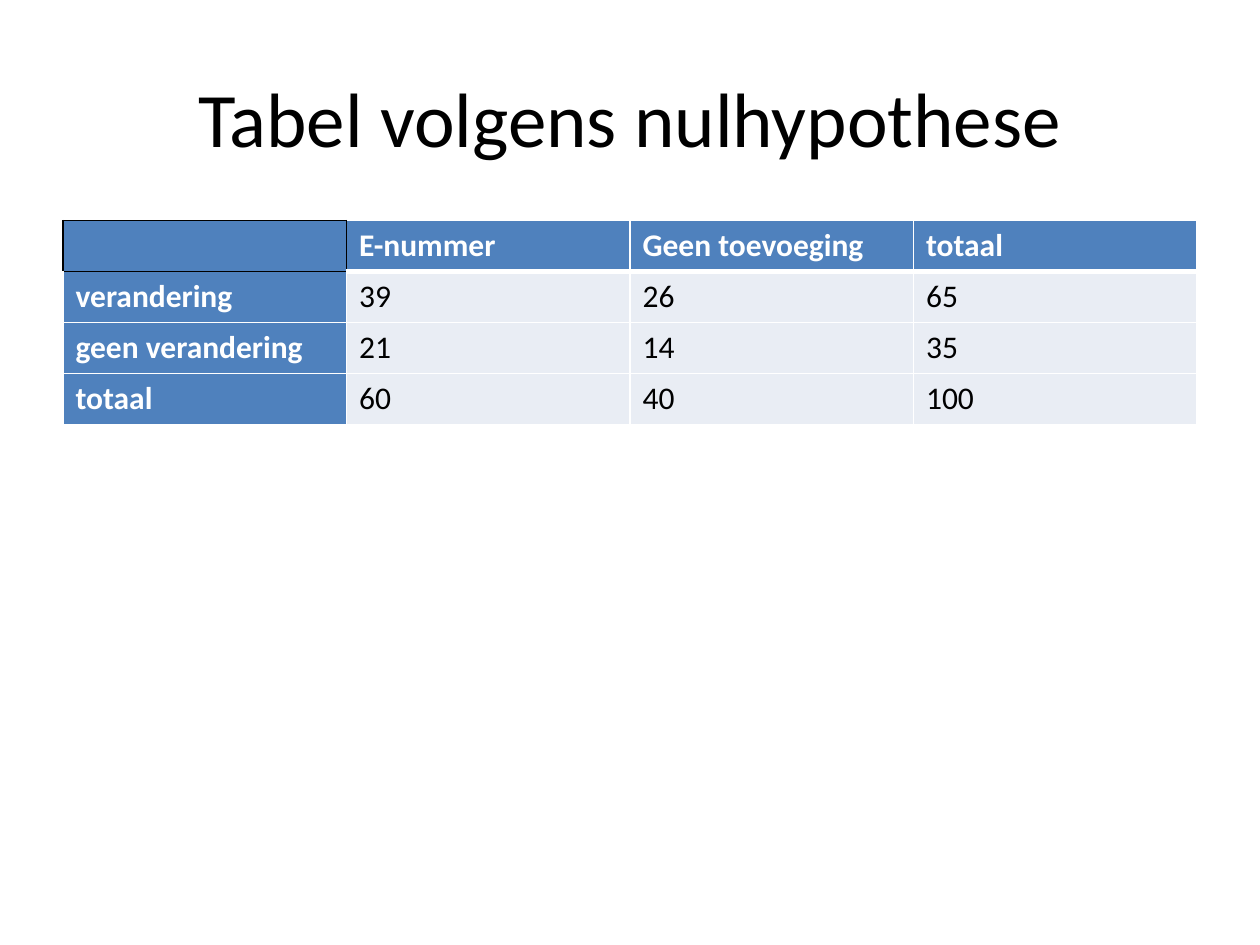
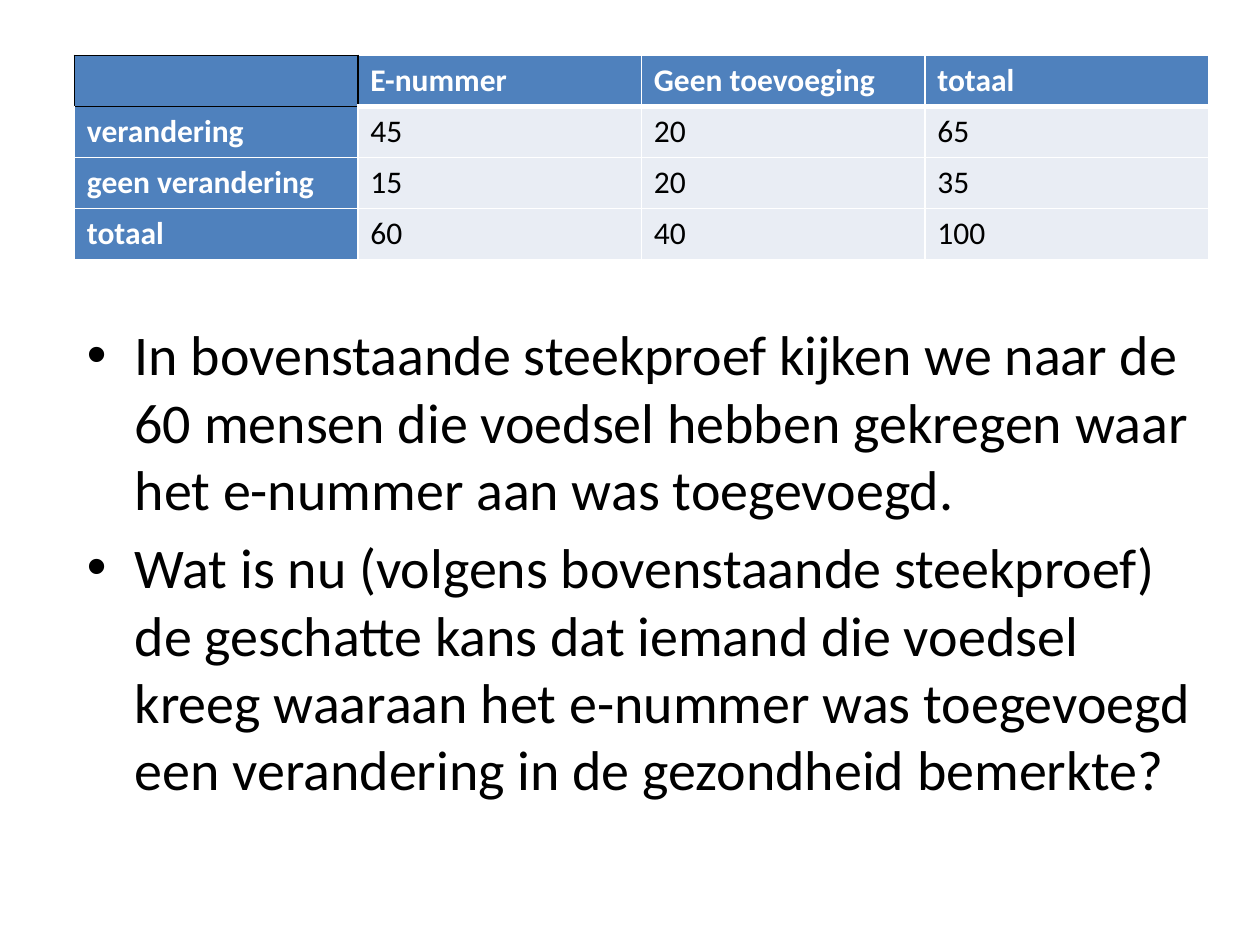
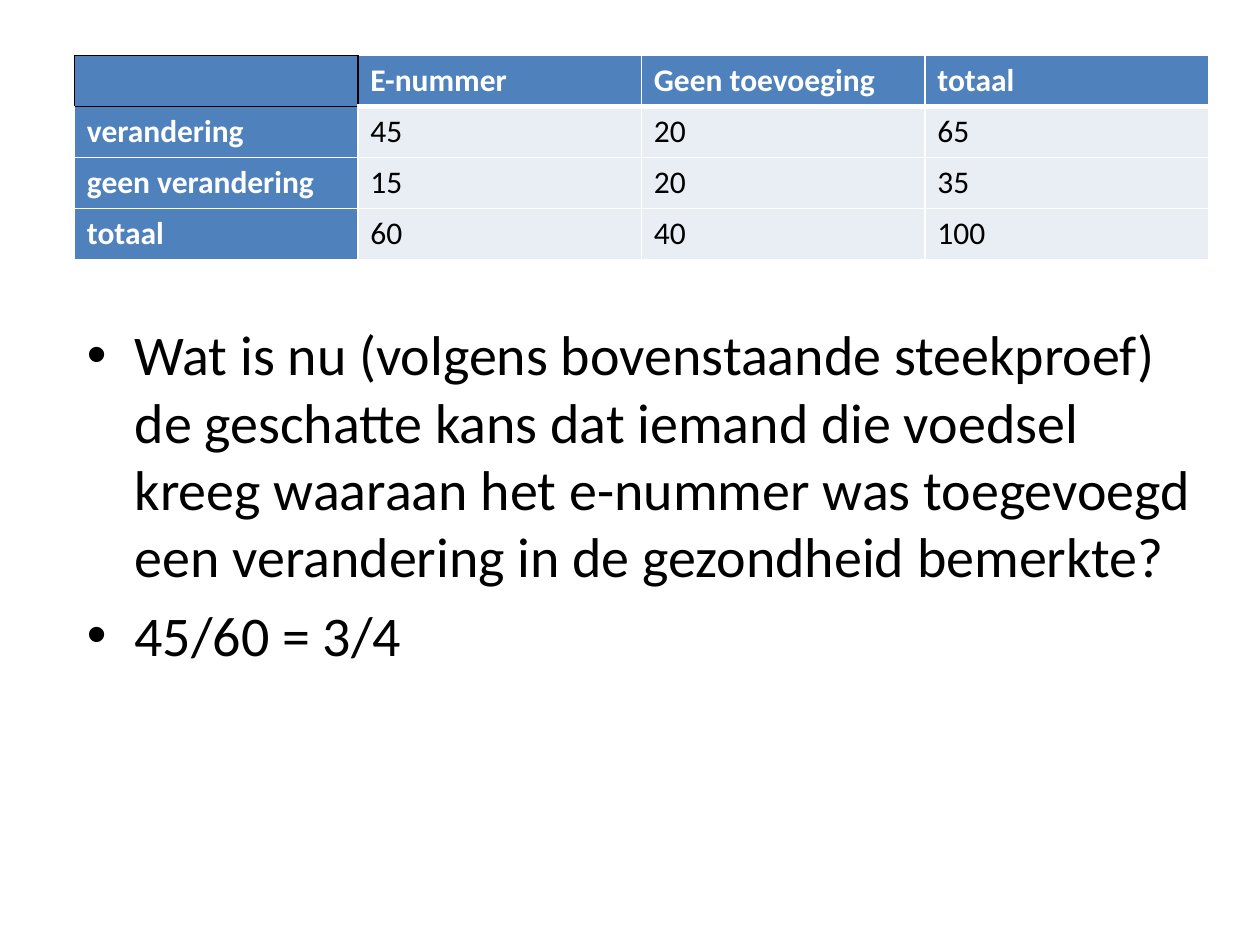
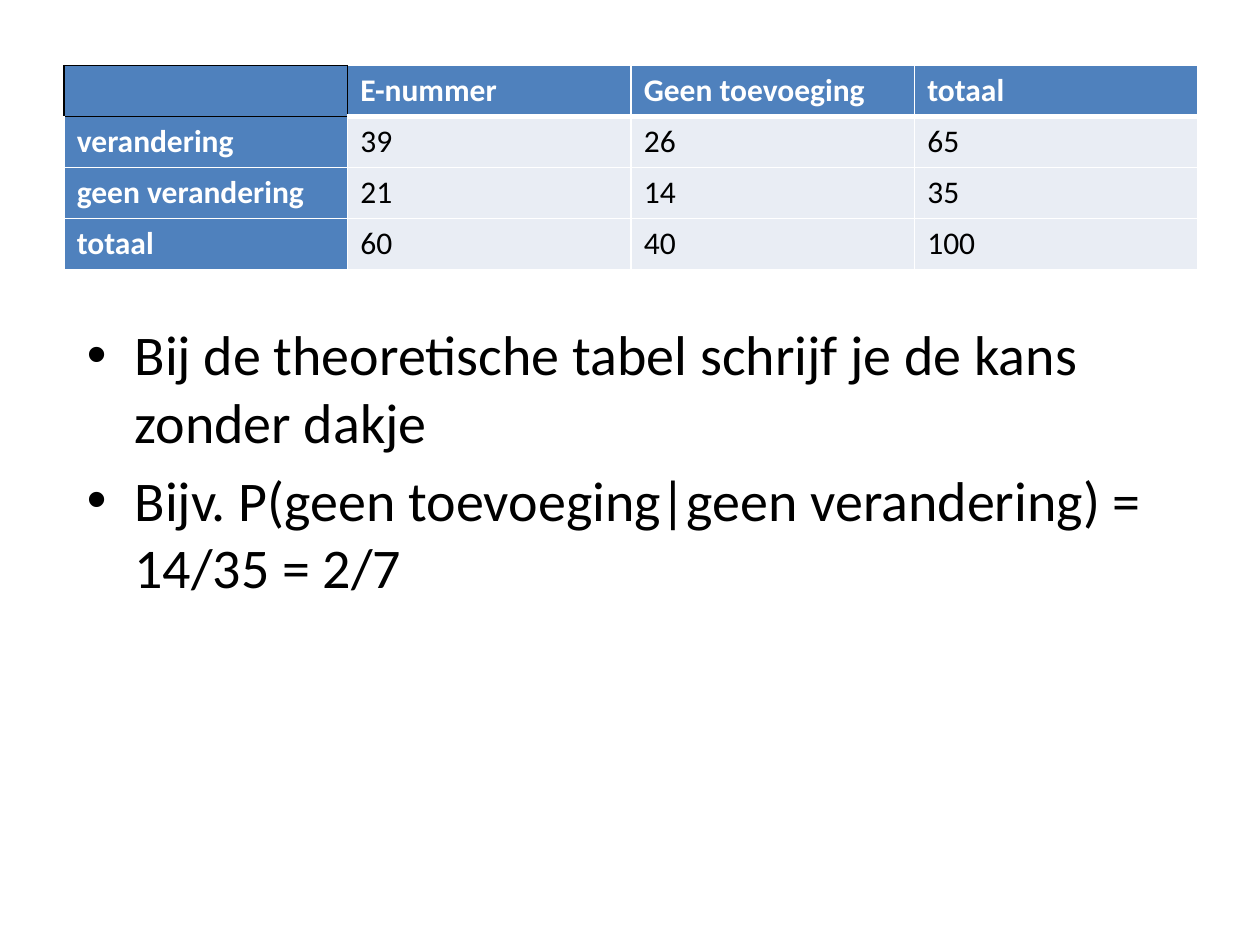
from dataclasses import dataclass

from lxml import etree
from pptx import Presentation, util as u
from pptx.dml.color import RGBColor
from pptx.enum import text
from pptx.oxml import ns


@dataclass(frozen=True)
class Theme:
    font: str = "Calibri"
    black: str = "000000"
    white: str = "FFFFFF"
    header: str = "4F81BD"
    body: str = "E9EDF4"
    title_size: int = 44
    bullet_size: int = 32
    table_size: int = 18


theme = Theme()


def add_run(paragraph, words, size, color, bold=False):
    """Add one run of text in the theme font."""
    run = paragraph.add_run()
    run.text = words
    run.font.name = theme.font
    run.font.size = u.Pt(size)
    run.font.bold = bold
    run.font.color.rgb = RGBColor.from_string(color)


def set_borders(cell, sides):
    """Draw the borders of a cell from (side, colour, points) in schema order."""
    properties = cell._tc.get_or_add_tcPr()
    for index, (side, color, points) in enumerate(sides):
        line = etree.Element(ns.qn(f"a:ln{side}"), w=str(u.Pt(points)))
        fill = etree.SubElement(line, ns.qn("a:solidFill"))
        etree.SubElement(fill, ns.qn("a:srgbClr"), val=color)
        properties.insert(index, line)


header_row = ["", "E-nummer", "Geen toevoeging", "totaal"]
total_row = ["totaal", "60", "40", "100"]
expected = [
    header_row,
    ["verandering", "39", "26", "65"],
    ["geen verandering", "21", "14", "35"],
    total_row,
]
sample = [
    header_row,
    ["verandering", "45", "20", "65"],
    ["geen verandering", "15", "20", "35"],
    total_row,
]
question = (
    "Wat is nu (volgens bovenstaande steekproef) de geschatte kans dat iemand "
    "die voedsel kreeg waaraan het e-nummer was toegevoegd een verandering in "
    "de gezondheid bemerkte?"
)

# Title, table values, table left and top, bullets
pages = [
    ("Tabel volgens nulhypothese", expected, 0.5, 1.75, []),
    (None, sample, 0.59, 0.44, [
        "In bovenstaande steekproef kijken we naar de 60 mensen die voedsel "
        "hebben gekregen waar het e-nummer aan was toegevoegd.",
        question,
    ]),
    (None, sample, 0.59, 0.44, [question, "45/60 = 3/4"]),
    (None, expected, 0.51, 0.52, [
        "Bij de theoretische tabel schrijf je de kans zonder dakje",
        "Bijv. P(geen toevoeging|geen verandering) = 14/35 = 2/7",
    ]),
]

presentation = Presentation()
presentation.slide_width = u.Inches(10)
presentation.slide_height = u.Inches(7.5)

for title, values, left, top, bullets in pages:
    slide = presentation.slides.add_slide(presentation.slide_layouts[6])

    if title:
        box = slide.shapes.add_textbox(
            u.Inches(0.5), u.Inches(0.3), u.Inches(9), u.Inches(1.25))
        box.text_frame.word_wrap = True
        box.text_frame.vertical_anchor = text.MSO_ANCHOR.MIDDLE
        paragraph = box.text_frame.paragraphs[0]
        paragraph.alignment = text.PP_ALIGN.CENTER
        add_run(paragraph, title, theme.title_size, theme.black)

    if bullets:
        box = slide.shapes.add_textbox(
            u.Inches(0.59), u.Inches(2.49), u.Inches(8.98), u.Inches(4.28))
        frame = box.text_frame
        frame.word_wrap = True
        for index, bullet in enumerate(bullets):
            paragraph = frame.add_paragraph() if index else frame.paragraphs[0]
            paragraph.space_before = u.Pt(0.2 * theme.bullet_size)
            properties = paragraph._p.get_or_add_pPr()
            properties.set("marL", str(u.Inches(0.38)))
            properties.set("indent", str(u.Inches(-0.38)))
            etree.SubElement(properties, ns.qn("a:buFont"), typeface="Arial")
            etree.SubElement(properties, ns.qn("a:buChar"), char="•")
            add_run(paragraph, bullet, theme.bullet_size, theme.black)

    table = slide.shapes.add_table(
        4, 4, u.Inches(left), u.Inches(top), u.Inches(9), u.Inches(1.62)).table
    table.first_col = True
    table.horz_banding = False
    for row, labels in enumerate(values):
        for column, label in enumerate(labels):
            cell = table.cell(row, column)
            is_header = row == 0 or column == 0
            is_corner = row == 0 and column == 0
            cell.fill.solid()
            cell.fill.fore_color.rgb = RGBColor.from_string(
                theme.header if is_header else theme.body)
            if label:
                add_run(cell.text_frame.paragraphs[0], label, theme.table_size,
                        theme.white if is_header else theme.black, is_header)

            # The empty corner has a black outline, shared with its neighbours
            edge = theme.black if is_corner else theme.white
            set_borders(cell, [
                ("L", theme.black if (row, column) == (0, 1) else edge, 1),
                ("R", edge, 1),
                ("T", theme.black if (row, column) == (1, 0) else edge,
                 3 if row == 1 and column else 1),
                ("B", edge, 3 if row == 0 and column else 1),
            ])

presentation.save("out.pptx")
